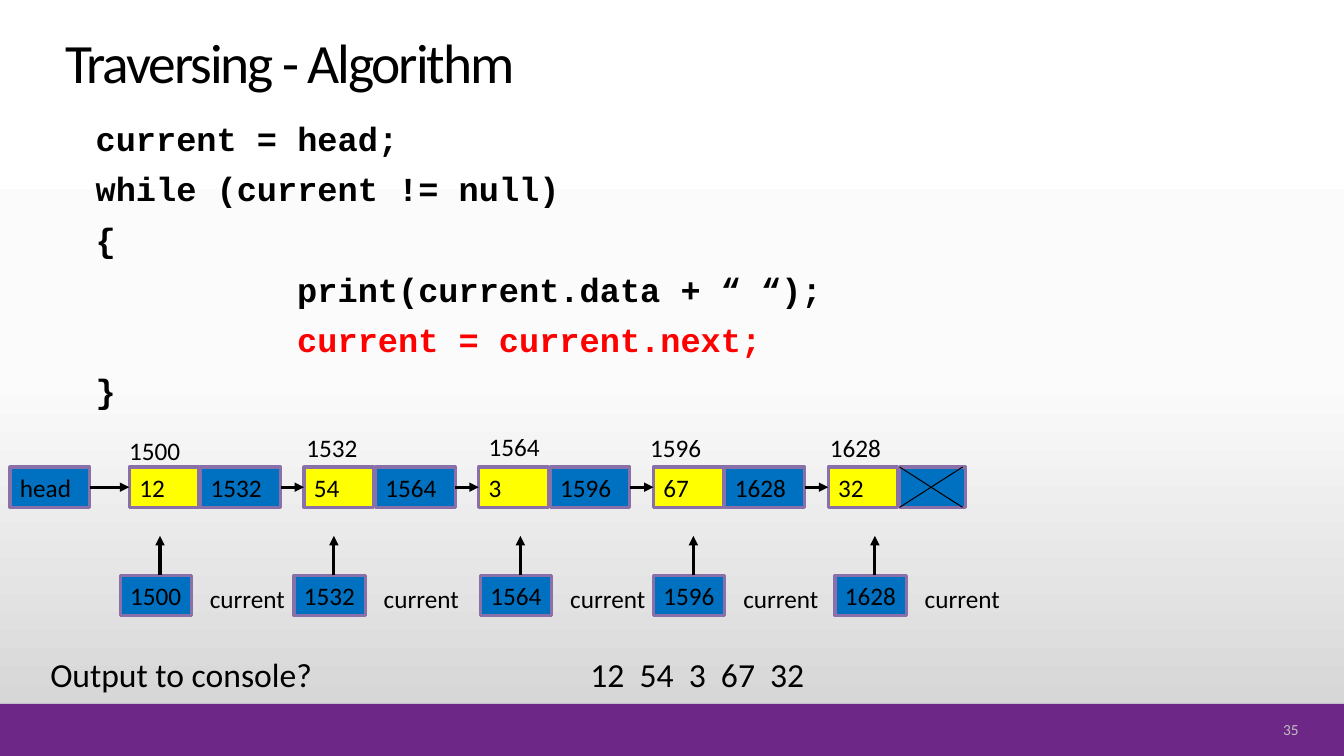
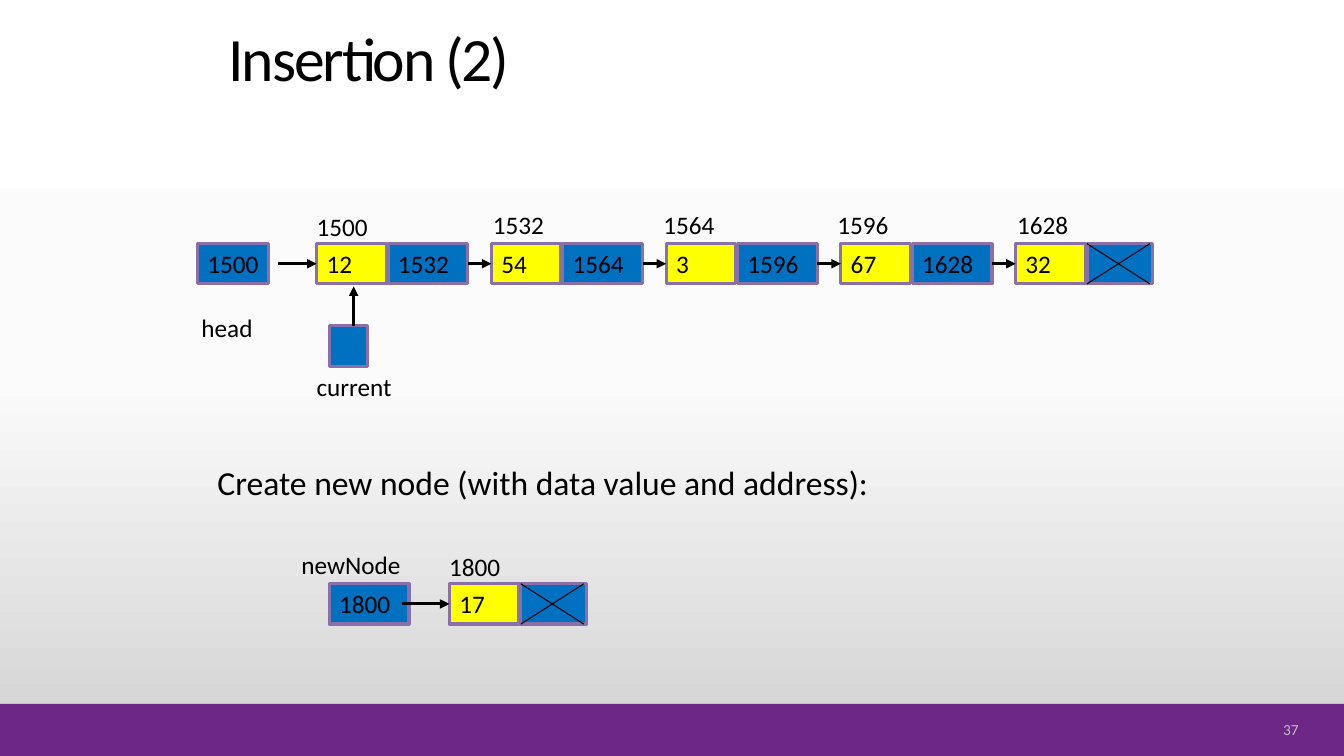
import copy
from dataclasses import dataclass
from typing import Optional

import pptx
import pptx.dml.color
import pptx.enum.shapes
import pptx.enum.text
import pptx.oxml.ns
import pptx.oxml.xmlchemy
import pptx.util
from lxml import etree
from pptx.presentation import Presentation as Deck
from pptx.shapes.autoshape import Shape
from pptx.shapes.connector import Connector
from pptx.slide import Slide

COLUMNS, ROWS = 160, 90
WIDTH, HEIGHT = pptx.util.Inches(13.33), pptx.util.Inches(7.5)

BLACK, RED, GREY = "000000", "FF0000", "BFBFBF"
BLUE, YELLOW, BORDER, PURPLE = "0070C0", "FFFF00", "8970A9", "6C2787"
BACKGROUND = ((0.0, "FFFFFF"), (0.5, "FBFBFB"), (1.0, "D1D1D1"))
BODY_FONT, CODE_FONT = "Calibri", "Courier New"
TOP, LEFT, BOTTOM, RIGHT = range(4)

CELL_HEIGHT = 4.8
DATA_WIDTH, POINTER_WIDTH, NULL_WIDTH = 8.3, 9.5, 7.8
ADDRESS_WIDTH = 8.5
POINTER_OFFSET = 8.5
NODE_PITCH = 20.8
CROSS_WIDTH = 7.5


@dataclass(frozen=True)
class Area:
    column: float
    row: float
    columns: float
    rows: float = CELL_HEIGHT


@dataclass(frozen=True)
class Style:
    size: float = 18
    color: str = BLACK
    font: str = BODY_FONT
    bold: bool = False


@dataclass(frozen=True)
class Node:
    address: str
    value: str
    label_shift: float
    label_rise: float = 4.7


@dataclass(frozen=True)
class CodeLine:
    text: str
    indent: float = 0.25
    color: str = BLACK


HEADING = Style(size=24)


def rgb(value: str) -> pptx.dml.color.RGBColor:
    return pptx.dml.color.RGBColor.from_string(value)


def across(columns: float) -> int:
    return round(WIDTH * columns / COLUMNS)


def down(rows: float) -> int:
    return round(HEIGHT * rows / ROWS)


def frame(area: Area) -> tuple[int, int, int, int]:
    return across(area.column), down(area.row), across(area.columns), down(area.rows)


def style_runs(paragraph, style: Style) -> None:
    for span in paragraph.runs:
        span.font.size = pptx.util.Pt(style.size)
        span.font.name = style.font
        span.font.bold = style.bold
        span.font.color.rgb = rgb(style.color)


def write(box: Shape, text: str, style: Style = Style()) -> None:
    box.text_frame.word_wrap = True
    box.text_frame.margin_right = 0
    box.text_frame.vertical_anchor = pptx.enum.text.MSO_ANCHOR.TOP
    box.text_frame.text = text
    para = box.text_frame.paragraphs[0]
    para.alignment = pptx.enum.text.PP_ALIGN.LEFT
    style_runs(para, style)


def add_label(page: Slide, area: Area, text: str, style: Style = Style()) -> Shape:
    box = page.shapes.add_textbox(*frame(area))
    write(box, text, style)
    return box


def add_rectangle(page: Slide, area: Area, fill: str) -> Shape:
    box = page.shapes.add_shape(pptx.enum.shapes.MSO_SHAPE.RECTANGLE, *frame(area))
    box.shadow.inherit = False
    box.fill.solid()
    box.fill.fore_color.rgb = rgb(fill)
    box.line.fill.background()
    return box


def add_cell(page: Slide, area: Area, fill: str, text: str = "") -> Shape:
    box = add_rectangle(page, area, fill)
    box.line.color.rgb = rgb(BORDER)
    box.line.width = pptx.util.Pt(2.25)
    if text:
        write(box, text)
    return box


def add_line(page: Slide, start: tuple[float, float], end: tuple[float, float],
             weight: float = 0.75, arrow: bool = False) -> Connector:
    line = page.shapes.add_connector(
        pptx.enum.shapes.MSO_CONNECTOR.STRAIGHT,
        across(start[0]), down(start[1]), across(end[0]), down(end[1]))
    line.line.color.rgb = rgb(BLACK)
    line.line.width = pptx.util.Pt(weight)
    properties = line.element.spPr
    if arrow:
        outline = properties.find(pptx.oxml.ns.qn("a:ln"))
        etree.SubElement(outline, pptx.oxml.ns.qn("a:tailEnd"), type="triangle")
    etree.SubElement(properties, pptx.oxml.ns.qn("a:effectLst"))
    return line


def add_arrow(page: Slide, start: tuple[float, float], end: tuple[float, float]) -> Connector:
    return add_line(page, start, end, weight=2.25, arrow=True)


def link(page: Slide, source: Shape, target: Shape) -> None:
    arrow = add_arrow(page, (0, 0), (1, 1))
    arrow.begin_connect(source, RIGHT)
    arrow.end_connect(target, LEFT)


def link_from(page: Slide, column: float, row: float, target: Shape) -> None:
    arrow = add_arrow(page, (column, row + CELL_HEIGHT / 2), (column + 1, row))
    arrow.end_connect(target, LEFT)


def add_list(page: Slide, nodes: list[Node], column: float, row: float) -> Shape:
    first: Optional[Shape] = None
    previous: Optional[Shape] = None
    for index, node in enumerate(nodes):
        left = column + index * NODE_PITCH
        middle = left + POINTER_OFFSET
        data = add_cell(page, Area(left, row, DATA_WIDTH), YELLOW, node.value)
        add_label(page, Area(left + node.label_shift, row - node.label_rise, ADDRESS_WIDTH),
                  node.address)
        if previous is not None:
            link(page, previous, data)
        first = first or data
        if index + 1 < len(nodes):
            previous = add_cell(page, Area(middle, row, POINTER_WIDTH), BLUE,
                                nodes[index + 1].address)
        else:
            add_cell(page, Area(middle, row, NULL_WIDTH), BLUE)
            bottom = row + CELL_HEIGHT
            add_line(page, (middle, row), (middle + CROSS_WIDTH, bottom))
            add_line(page, (middle + CROSS_WIDTH, row), (middle, bottom))
    return first


def add_pointer(page: Slide, area: Area, text: str, arrow_shift: float, label: Area) -> None:
    add_cell(page, area, BLUE, text)
    column = area.column + arrow_shift
    add_arrow(page, (column, area.row), (column, area.row - 4.7))
    add_label(page, label, "current")


def add_code(page: Slide, area: Area, lines: list[CodeLine]) -> None:
    box = page.shapes.add_textbox(*frame(area))
    box.text_frame.word_wrap = True
    box.text_frame.text = "\n".join(line.text for line in lines)
    for index, (para, line) in enumerate(zip(box.text_frame.paragraphs, lines)):
        para.line_spacing = 0.9
        para.space_before = pptx.util.Pt(10 if index else 0)
        para._p.get_or_add_pPr().set("marL", str(pptx.util.Inches(line.indent)))
        style_runs(para, Style(24, line.color, CODE_FONT, True))


def set_background(deck: Deck) -> None:
    master = deck.slide_master
    fill = master.background.fill
    fill.gradient()
    fill.gradient_angle = 270
    stops = master.element.find(".//" + pptx.oxml.ns.qn("a:gsLst"))
    stops.insert(1, copy.deepcopy(stops[0]))
    for stop, (position, color) in zip(fill.gradient_stops, BACKGROUND):
        stop.position = position
        stop.color.rgb = rgb(color)


def add_page(deck: Deck, title: str, area: Area, size: float, number: int) -> Slide:
    page = deck.slides.add_slide(deck.slide_layouts[6])
    add_rectangle(page, Area(0, 83.8, COLUMNS, 6.2), PURPLE)
    heading = add_label(page, area, title, Style(size=size))
    heading.text_frame.vertical_anchor = pptx.enum.text.MSO_ANCHOR.BOTTOM
    para = heading.text_frame.paragraphs[0]
    para.line_spacing = 0.9
    para.runs[0].font._element.set("spc", "-150")
    footer = add_label(page, Area(146.8, 85.4, 7.8, 2.8), str(number), Style(11, GREY))
    footer.text_frame.vertical_anchor = pptx.enum.text.MSO_ANCHOR.MIDDLE
    footer.text_frame.paragraphs[0].alignment = pptx.enum.text.PP_ALIGN.RIGHT
    return page


def build_traversing(deck: Deck) -> None:
    page = add_page(deck, "Traversing - Algorithm", Area(6.6, 3.6, 108, 8.3), 39.6, 35)
    add_code(page, Area(7.2, 14, 108, 36.6), [
        CodeLine("current = head;"),
        CodeLine("while (current != null)"),
        CodeLine("{"),
        CodeLine("print(current.data + “ “);", 2.25),
        CodeLine("current = current.next;", 2.25, RED),
        CodeLine("}"),
    ])
    nodes = [Node("1500", "12", -1.2, 4.4), Node("1532", "54", -0.9), Node("1564", "3", 0, 4.8),
             Node("1596", "67", -1.6), Node("1628", "32", -1)]
    row = 55.6
    head = add_cell(page, Area(1.2, row, POINTER_WIDTH), BLUE, "head")
    link(page, head, add_list(page, nodes, 15.4, row))
    for node, column in zip(nodes, (14.3, 35, 57.2, 77.8, 99.4)):
        add_pointer(page, Area(column, 68.5, ADDRESS_WIDTH), node.address, 4.75,
                    Area(column + 9.5, 68.8, 11.8))
    add_label(page, Area(4.8, 77.2, 59.5, 6), "Output to console?", HEADING)
    add_label(page, Area(69.1, 77.2, 35, 6), "12  54  3  67  32", HEADING)


def build_insertion(deck: Deck) -> None:
    page = add_page(deck, "Insertion (2)", Area(26, 1.6, 99, 10.3), 44, 37)
    nodes = [Node("1500", "12", -1.2, 4.4), Node("1532", "54", -1), Node("1564", "3", -1.5),
             Node("1596", "67", -1.6), Node("1628", "32", -1)]
    row = 29
    add_cell(page, Area(23.5, row, ADDRESS_WIDTH), BLUE, "1500")
    add_label(page, Area(22.8, 36.6, 8.7), "head")
    link_from(page, 33.1, row, add_list(page, nodes, 37.7, row))
    add_pointer(page, Area(39.2, 38.8, 4.6), "", 2.9, Area(36.5, 43.6, 11.8))

    add_label(page, Area(24.7, 54.4, 90.2, 6), "Create new node (with data value and address):",
              HEADING)
    new_row = 69.5
    add_cell(page, Area(39.2, new_row, POINTER_WIDTH), BLUE, "1800")
    add_label(page, Area(34.7, 64.8, 14.4), "newNode")
    link_from(page, 47.9, new_row, add_list(page, [Node("1800", "17", -1.2, 4.4)], 53.5, new_row))


def main() -> None:
    deck = pptx.Presentation()
    deck.slide_width, deck.slide_height = WIDTH, HEIGHT
    set_background(deck)
    build_traversing(deck)
    build_insertion(deck)
    deck.save("out.pptx")


if __name__ == "__main__":
    main()
